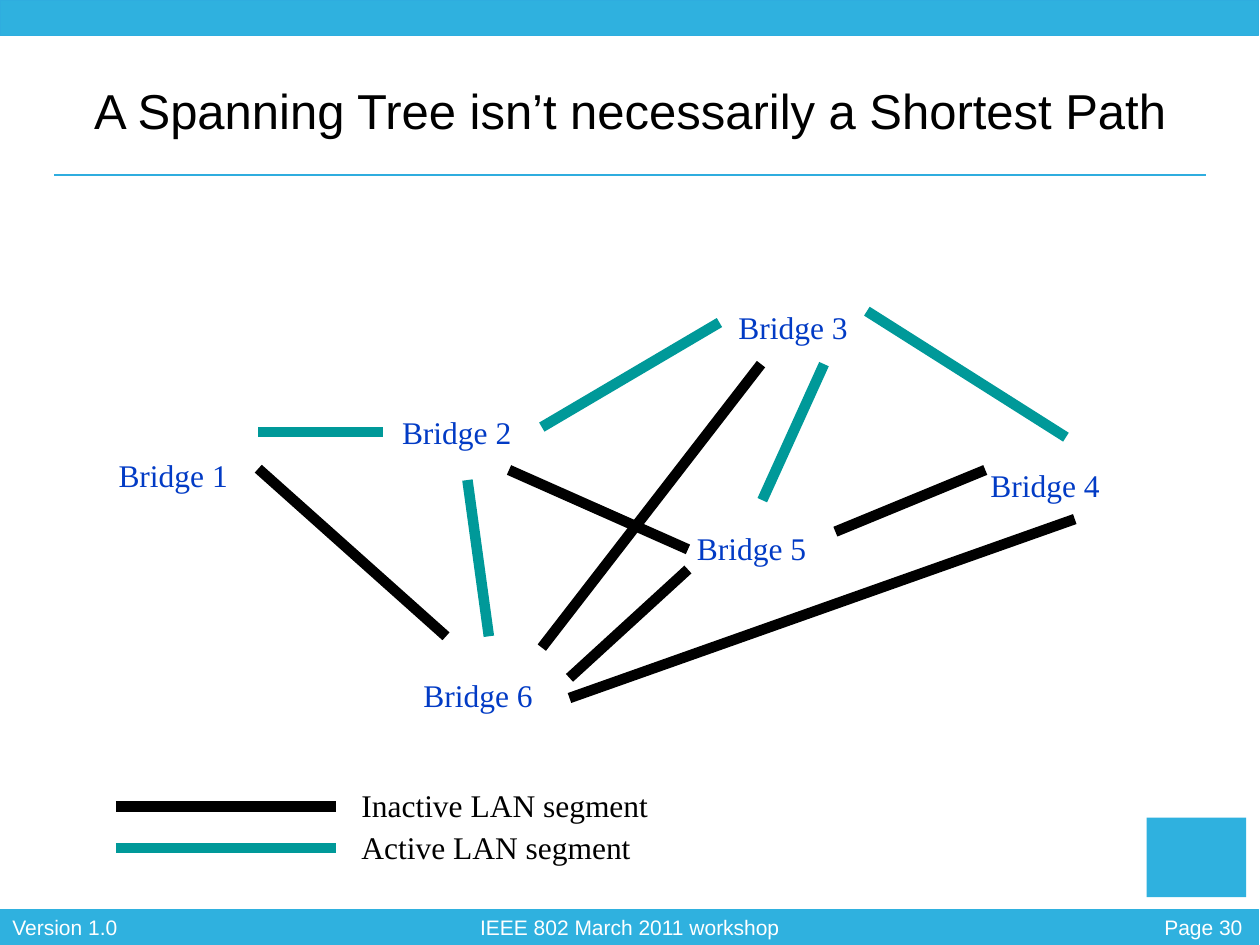
from lxml.etree import SubElement
from pptx import Presentation
from pptx.dml.color import RGBColor
from pptx.enum.shapes import MSO_CONNECTOR, MSO_SHAPE
from pptx.enum.text import MSO_ANCHOR, PP_ALIGN
from pptx.oxml.ns import qn
from pptx.util import Inches, Pt

COLORS = {
    "band": "2FB1DF",
    "rule": "2FADDF",
    "bridge": "023BC5",
    "active": "009999",
    "inactive": "000000",
    "text": "000000",
    "footer": "FFFFFF",
}
BRIDGES = [
    ("Bridge 1", 0.91, 3.49),
    ("Bridge 2", 3.16, 3.15),
    ("Bridge 6", 3.33, 5.24),
    ("Bridge 3", 5.83, 2.32),
    ("Bridge 4", 7.83, 3.57),
    ("Bridge 5", 5.5, 4.07),
]
SEGMENTS = [
    ("inactive", 2.05, 3.72, 3.54, 5.05),
    ("active", 2.05, 3.43, 3.04, 3.43),
    ("active", 4.3, 3.39, 5.71, 2.56),
    ("inactive", 4.3, 5.14, 6.04, 2.89),
    ("active", 3.71, 3.81, 3.88, 5.05),
    ("active", 8.46, 3.47, 6.88, 2.47),
    ("inactive", 6.63, 4.22, 7.82, 3.73),
    ("active", 6.05, 3.97, 6.54, 2.89),
    ("inactive", 4.52, 5.38, 5.46, 4.52),
    ("inactive", 4.04, 3.73, 5.46, 4.36),
    ("inactive", 4.52, 5.54, 8.53, 4.12),
]
LEGEND = [("inactive", "Inactive LAN segment", 6.4), ("active", "Active LAN segment", 6.73)]
FOOTERS = [
    ("Page 30", 8.7, 1.26, PP_ALIGN.RIGHT),
    ("Version 1.0", 0, 1.04, PP_ALIGN.LEFT),
    ("IEEE 802 March 2011 workshop", 0, 10, PP_ALIGN.CENTER),
]


def color(name):
    """Return the named palette colour."""
    return RGBColor.from_string(COLORS[name])


def write(frame, text, size, font, color_name, align):
    """Write one formatted run in the first paragraph of a frame."""
    para = frame.paragraphs[0]
    para.alignment = align
    span = para.add_run()
    span.text = text
    span.font.size = Pt(size)
    span.font.name = font
    span.font.color.rgb = color(color_name)


def add_rectangle(page, left, top, width, height, outline=None):
    """Add a band-coloured rectangle, outlined on request."""
    box = page.shapes.add_shape(
        MSO_SHAPE.RECTANGLE, Inches(left), Inches(top), Inches(width), Inches(height)
    )
    box.shadow.inherit = False
    box.fill.solid()
    box.fill.fore_color.rgb = color("band")
    if outline:
        box.line.color.rgb = color(outline)
        box.line.width = Pt(0.75)
    else:
        box.line.fill.background()


def add_line(page, color_name, x1, y1, x2, y2, width=6):
    """Add a straight line without a shadow."""
    line = page.shapes.add_connector(
        MSO_CONNECTOR.STRAIGHT, Inches(x1), Inches(y1), Inches(x2), Inches(y2)
    )
    line.line.color.rgb = color(color_name)
    line.line.width = Pt(width)
    SubElement(line._element.spPr, qn("a:effectLst"))


def add_label(page, text, left, top, width, height, size, font, color_name,
              align=PP_ALIGN.LEFT, wrap=False):
    """Add a text box holding one line of text and return it."""
    box = page.shapes.add_textbox(Inches(left), Inches(top), Inches(width), Inches(height))
    box.text_frame.word_wrap = wrap
    write(box.text_frame, text, size, font, color_name, align)
    return box


def add_bridge(page, name, left, top):
    """Add a centred bridge name without side margins."""
    box = add_label(page, name, left, top, 0.93, 0.55, 18, "Times New Roman", "bridge",
                    PP_ALIGN.CENTER)
    box.text_frame.vertical_anchor = MSO_ANCHOR.MIDDLE
    box.text_frame.margin_left = box.text_frame.margin_right = 0


def add_title(page, text):
    """Place and fill the title placeholder."""
    title = page.shapes.title
    title.left, title.top = Inches(0.5), Inches(0.44)
    title.width, title.height = Inches(9), Inches(0.87)
    title.text_frame.vertical_anchor = MSO_ANCHOR.MIDDLE
    write(title.text_frame, text, 28, "Arial", "text", PP_ALIGN.CENTER)


def add_frame(page):
    """Add the bands, title rule, footer texts and badge."""
    add_rectangle(page, 0, 7.22, 9.99, 0.28, "band")
    add_rectangle(page, 0, 0, 9.99, 0.28, "rule")
    add_line(page, "rule", 0.43, 1.39, 9.57, 1.39, 0.75)
    for text, left, width, align in FOOTERS:
        add_label(page, text, left, 7.21, width, 0.3, 12, "Arial", "footer",
                  align, wrap=align != PP_ALIGN.LEFT)
    add_rectangle(page, 9.1, 6.49, 0.79, 0.63)


def main():
    """Build and save the deck."""
    deck = Presentation()
    deck.slide_width, deck.slide_height = Inches(10), Inches(7.5)
    page = deck.slides.add_slide(deck.slide_layouts[5])
    add_frame(page)
    add_title(page, "A Spanning Tree isn’t necessarily a Shortest Path")
    for bridge in BRIDGES:
        add_bridge(page, *bridge)
    for segment in SEGMENTS:
        add_line(page, *segment)
    for state, text, middle in LEGEND:
        add_line(page, state, 0.92, middle, 2.67, middle)
        add_label(page, text, 2.77, middle - 0.21, 2.48, 0.4, 18, "Times New Roman", "text")
    deck.save("out.pptx")


if __name__ == "__main__":
    main()
